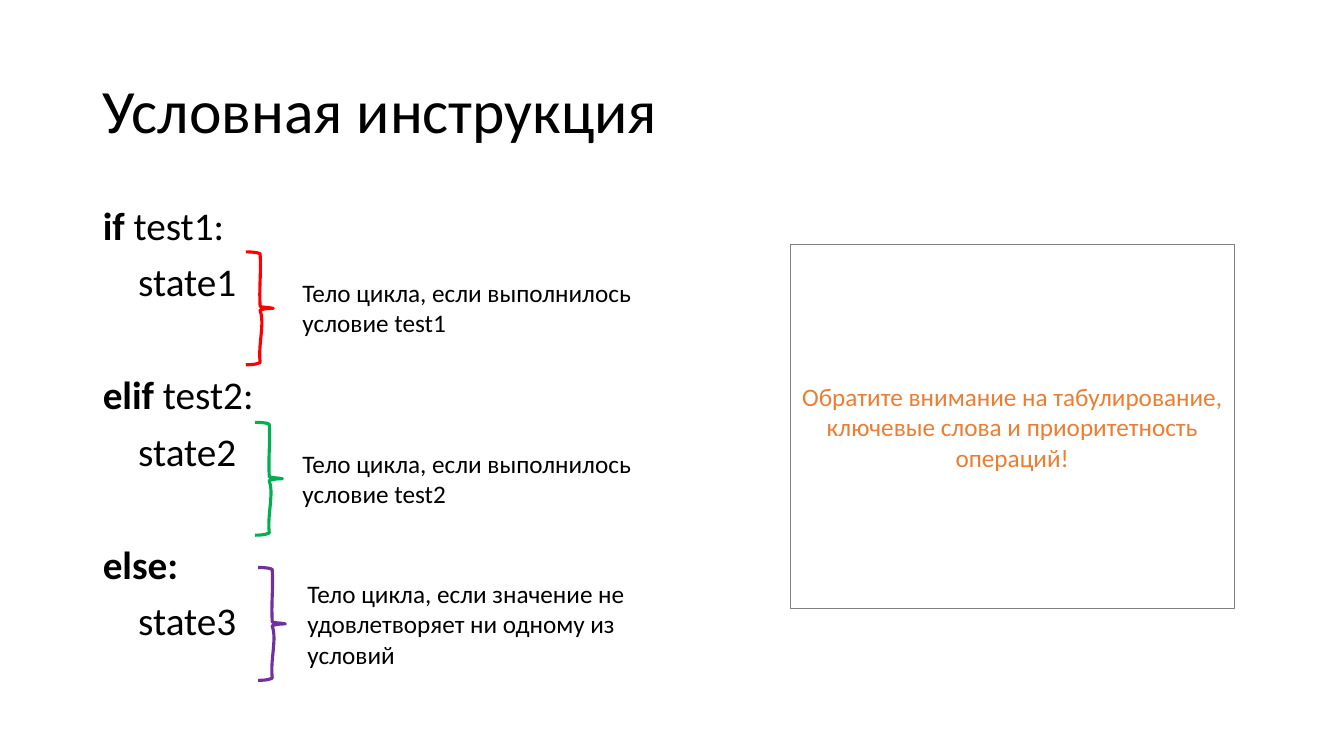
from pptx import Presentation
from pptx.dml.color import RGBColor
from pptx.enum.shapes import MSO_SHAPE
from pptx.enum.text import MSO_ANCHOR, MSO_AUTO_SIZE, PP_ALIGN
from pptx.oxml.ns import qn
from pptx.util import Inches, Pt
from lxml.etree import SubElement

# Hand-drawn brace in percent of its box: two control points and an end per curve
BRACE = [
    ((30, 0), (52, 1), (52, 2)),
    ((56, 20), (48, 30), (52, 48)),
    ((52, 49), (78, 49), (100, 50)),
    ((74, 50), (52, 51), (52, 52)),
    ((70, 63), (44, 82), (52, 98)),
    ((44, 99), (30, 100), (0, 100)),
]
CURVE_STEPS = 10


def rgb(color):
    return RGBColor.from_string(color)


def bezier(p0, p1, p2, p3, t):
    u = 1 - t
    return tuple(u**3 * a + 3 * u * u * t * b + 3 * u * t * t * c + t**3 * d
                 for a, b, c, d in zip(p0, p1, p2, p3))


class SlideBuilder:
    font, ink, accent, frame = "Calibri", "000000", "ED7D31", "808080"

    def __init__(self, prs):
        self.width, self.height = prs.slide_width, prs.slide_height
        self.slide = prs.slides.add_slide(prs.slide_layouts[1])

    def box(self, x, y, w, h):
        """Turn percentages of the slide's size into lengths."""
        return [int(share * side / 100) for share, side in
                zip((x, y, w, h), (self.width, self.height) * 2)]

    def place(self, sp, area):
        sp.left, sp.top, sp.width, sp.height = self.box(*area)

    def run(self, p, text, size, color=None, bold=False):
        r = p.add_run()
        r.text = text
        r.font.name, r.font.size, r.font.bold = self.font, Pt(size), bold
        r.font.color.rgb = rgb(color or self.ink)

    def title(self, text, area):
        sp = self.slide.shapes.title
        self.place(sp, area)
        tf = sp.text_frame
        tf.auto_size = MSO_AUTO_SIZE.NONE
        tf.vertical_anchor = MSO_ANCHOR.MIDDLE
        p = tf.paragraphs[0]
        p.alignment, p.line_spacing = PP_ALIGN.LEFT, 0.9
        self.run(p, text, 44)

    def code(self, lines, area):
        sp = self.slide.placeholders[1]
        self.place(sp, area)
        tf = sp.text_frame
        tf.auto_size = MSO_AUTO_SIZE.NONE
        for i, (keyword, rest) in enumerate(lines):
            p = tf.add_paragraph() if i else tf.paragraphs[0]
            pPr = p._p.get_or_add_pPr()
            pPr.set("marL", "0")
            pPr.set("indent", "0")
            SubElement(pPr, qn("a:buNone"))
            p.line_spacing = 0.9
            # A keyword opens a new branch, set apart by a wide gap
            p.space_before = Pt(0 if i == 0 else 50.5 if keyword else 10)
            if keyword:
                self.run(p, keyword, 28, bold=True)
            if rest:
                self.run(p, rest, 28)

    def brace(self, color, area):
        x, y, w, h = self.box(*area)
        start, points = (0, 0), []
        for c1, c2, end in BRACE:
            points += [bezier(start, c1, c2, end, k / CURVE_STEPS)
                       for k in range(1, CURVE_STEPS + 1)]
            start = end
        fb = self.slide.shapes.build_freeform(x, y)
        fb.add_line_segments([(x + px * w / 100, y + py * h / 100)
                              for px, py in points], close=False)
        sp = fb.convert_to_shape()
        sp.shadow.inherit = False
        sp.fill.background()
        sp.line.color.rgb = rgb(color)
        sp.line.width = Pt(2.25)

    def note(self, text, area):
        tf = self.slide.shapes.add_textbox(*self.box(*area)).text_frame
        tf.word_wrap = True
        tf.auto_size = MSO_AUTO_SIZE.SHAPE_TO_FIT_TEXT
        self.run(tf.paragraphs[0], text, 18)

    def callout(self, text, area):
        sp = self.slide.shapes.add_shape(MSO_SHAPE.RECTANGLE, *self.box(*area))
        sp.shadow.inherit = False
        sp.fill.background()
        sp.line.color.rgb = rgb(self.frame)
        sp.line.width = Pt(0.75)
        tf = sp.text_frame
        tf.word_wrap = True
        tf.vertical_anchor = MSO_ANCHOR.MIDDLE
        p = tf.paragraphs[0]
        p.alignment = PP_ALIGN.CENTER
        self.run(p, text, 18, self.accent)


def main():
    prs = Presentation()
    prs.slide_width, prs.slide_height = Inches(13.33), Inches(7.5)
    s = SlideBuilder(prs)

    # Title and code
    s.title("Условная инструкция", (6.9, 5.33, 86.27, 19.33))
    s.code([("if", " test1:"), ("", "    state1"),
            ("elif", " test2:"), ("", "    state2"),
            ("else:", ""), ("", "    state3")], (6.9, 26.67, 14.33, 63.47))

    # Braces beside the branches
    for color, x, y in (("FF0000", 18.3, 33.33), ("00B050", 18.98, 55.87),
                        ("7030A0", 19.2, 75.07)):
        s.brace(color, (x, y, 2.03, 14.93))

    # Explanations
    for text, x, y, h in (
            ("Тело цикла, если выполнилось условие test1", 21.76, 36, 9.47),
            ("Тело цикла, если выполнилось условие test2", 21.76, 58.67, 9.47),
            ("Тело цикла, если значение не удовлетворяет ни одному из условий",
             22.13, 75.87, 13.47)):
        s.note(text, (x, y, 30.46, h))

    # Reminder
    s.callout("Обратите внимание на табулирование, ключевые слова и "
              "приоритетность операций!", (58.81, 32.4, 33.01, 48.13))

    prs.save("out.pptx")


if __name__ == "__main__":
    main()
